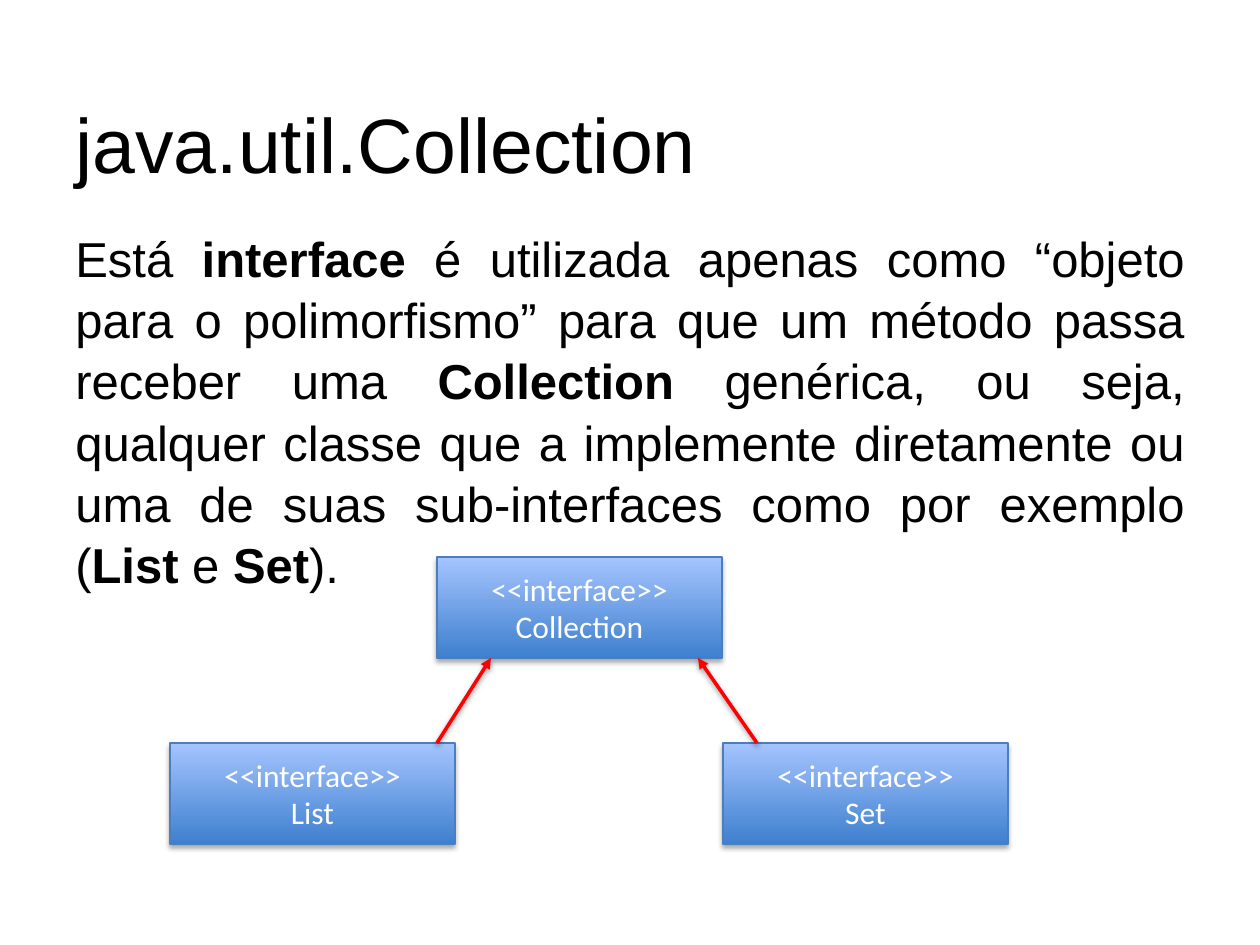
"""Build the java.util.Collection slide with its interface diagram."""
from dataclasses import dataclass

from lxml import etree
from pptx import Presentation
from pptx.dml.color import RGBColor
from pptx.enum.shapes import MSO_CONNECTOR, MSO_SHAPE
from pptx.enum.text import MSO_ANCHOR, PP_ALIGN
from pptx.oxml.ns import qn
from pptx.util import Emu, Pt

RECTANGLE = MSO_SHAPE.RECTANGLE
STRAIGHT = MSO_CONNECTOR.STRAIGHT
BOTTOM, MIDDLE, TOP = MSO_ANCHOR.BOTTOM, MSO_ANCHOR.MIDDLE, MSO_ANCHOR.TOP
LEFT, CENTER, JUSTIFY = PP_ALIGN.LEFT, PP_ALIGN.CENTER, PP_ALIGN.JUSTIFY

PIXEL = 914400 // 126
COLORS = {
    "text": "000000",
    "label": "FFFFFF",
    "box_bottom": "3F80CE",
    "box_top": "A4C4FF",
    "border": "4B7EBC",
    "arrow": "FF0000",
    "shadow": "000000",
}
BOX_WIDTH, BOX_HEIGHT = 285, 101
PARENT_TOP, CHILD_TOP = 557, 743


@dataclass(frozen=True)
class InterfaceBox:
    name: str
    left: int
    top: int


@dataclass(frozen=True)
class Inheritance:
    child_x: int
    parent_x: int


INTERFACES = [
    InterfaceBox("Collection", 437, PARENT_TOP),
    InterfaceBox("Set", 723, CHILD_TOP),
    InterfaceBox("List", 170, CHILD_TOP),
]
INHERITANCES = [Inheritance(437, 491), Inheritance(757, 698)]
EXPLANATION = [
    ("Está ", False),
    ("interface", True),
    (" é utilizada apenas como “objeto para o polimorfismo” para que um "
     "método passa receber uma ", False),
    ("Collection", True),
    (" genérica, ou seja, qualquer classe que a implemente diretamente ou "
     "uma de suas sub-interfaces como por exemplo (", False),
    ("List", True),
    (" e ", False),
    ("Set", True),
    (").", False),
]


def px(pixels: int) -> Emu:
    """Turn pixels into EMU."""
    return Emu(pixels * PIXEL)


def color(key: str) -> RGBColor:
    """Look up a colour."""
    return RGBColor.from_string(COLORS[key])


def add_run(paragraph, text: str, size: int, font: str, key: str, bold: bool = False) -> None:
    """Append one formatted run."""
    run = paragraph.add_run()
    run.text = text
    run.font.size = Pt(size)
    run.font.name = font
    run.font.bold = bold
    run.font.color.rgb = color(key)


def place(shape, left: int, top: int, width: int, height: int) -> None:
    """Move and resize a shape."""
    shape.left, shape.top = px(left), px(top)
    shape.width, shape.height = px(width), px(height)


def add_shadow(properties, opacity: int, distance: float) -> None:
    """Put a soft downward shadow on shape properties."""
    effects = properties.find(qn("a:effectLst"))
    if effects is None:
        effects = etree.SubElement(properties, qn("a:effectLst"))
    shadow = etree.SubElement(
        effects, qn("a:outerShdw"), blurRad=str(Pt(3.1)),
        dist=str(Pt(distance)), dir="5400000", rotWithShape="0")
    tint = etree.SubElement(shadow, qn("a:srgbClr"), val=COLORS["shadow"])
    etree.SubElement(tint, qn("a:alpha"), val=str(opacity * 1000))


def add_interface(slide, interface: InterfaceBox) -> None:
    """Draw an interface box with its stereotype and name."""
    box = slide.shapes.add_shape(
        RECTANGLE, px(interface.left), px(interface.top), px(BOX_WIDTH), px(BOX_HEIGHT))
    box.fill.gradient()
    box.fill.gradient_angle = 90
    for stop, key in zip(box.fill.gradient_stops, ("box_bottom", "box_top")):
        stop.color.rgb = color(key)
    box.line.color.rgb = color("border")
    box.line.width = Pt(0.75)
    box.shadow.inherit = False
    add_shadow(box._element.spPr, 35, 1.8)
    frame = box.text_frame
    frame.vertical_anchor = MIDDLE
    lines = ("<<interface>>", interface.name)
    for paragraph, text in zip((frame.paragraphs[0], frame.add_paragraph()), lines):
        paragraph.alignment = CENTER
        add_run(paragraph, text, 18, "Calibri", "label")


def add_inheritance(slide, inheritance: Inheritance) -> None:
    """Draw an arrow from a child interface up to the parent."""
    arrow = slide.shapes.add_connector(
        STRAIGHT, px(inheritance.child_x), px(CHILD_TOP),
        px(inheritance.parent_x), px(PARENT_TOP + BOX_HEIGHT))
    arrow.line.color.rgb = color("arrow")
    arrow.line.width = Pt(2)
    etree.SubElement(arrow.line._get_or_add_ln(), qn("a:tailEnd"), type="triangle")
    add_shadow(arrow._element.spPr, 38, 1.6)


def add_title(slide) -> None:
    """Fill the title placeholder."""
    title = slide.shapes.title
    place(title, 63, 38, 1134, 157)
    title.text_frame.vertical_anchor = BOTTOM
    heading = title.text_frame.paragraphs[0]
    heading.alignment = LEFT
    add_run(heading, "java.util.Collection", 44, "Arial", "text")


def add_explanation(slide) -> None:
    """Write the justified explanation."""
    body = slide.shapes.add_textbox(px(63), px(220), px(1134), px(624))
    body.text_frame.word_wrap = True
    body.text_frame.vertical_anchor = TOP
    paragraph = body.text_frame.paragraphs[0]
    paragraph.alignment = JUSTIFY
    paragraph.line_spacing = 1.04
    paragraph.space_after = Pt(18)
    for text, bold in EXPLANATION:
        add_run(paragraph, text, 28, "Arial", "text", bold)


def main() -> None:
    """Build and save the slide."""
    deck = Presentation()
    deck.slide_width, deck.slide_height = px(1260), px(945)
    slide = deck.slides.add_slide(deck.slide_layouts.get_by_name("Title Only"))
    add_title(slide)
    add_explanation(slide)
    for interface in INTERFACES:
        add_interface(slide, interface)
    for inheritance in INHERITANCES:
        add_inheritance(slide, inheritance)
    deck.save("out.pptx")


main()
